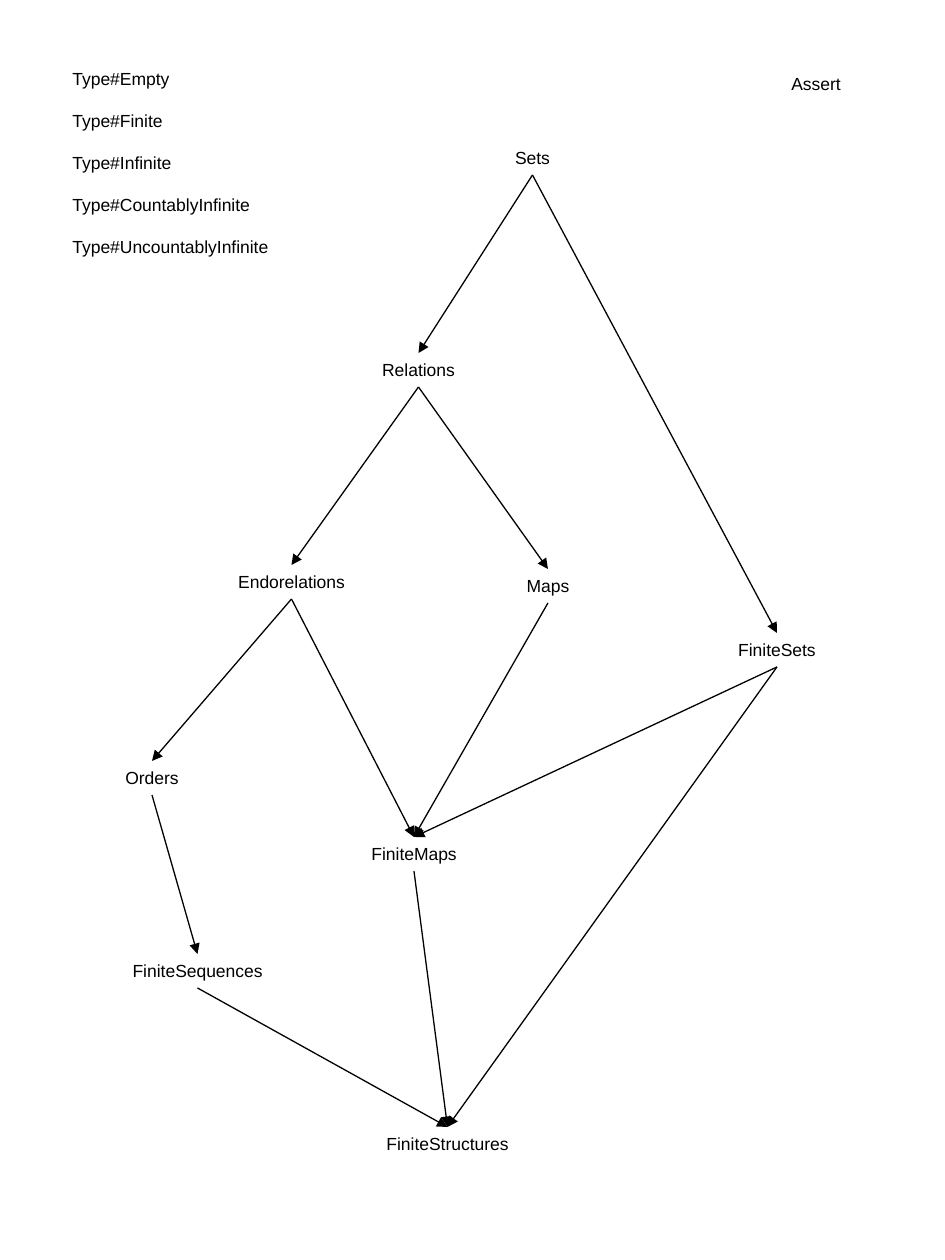
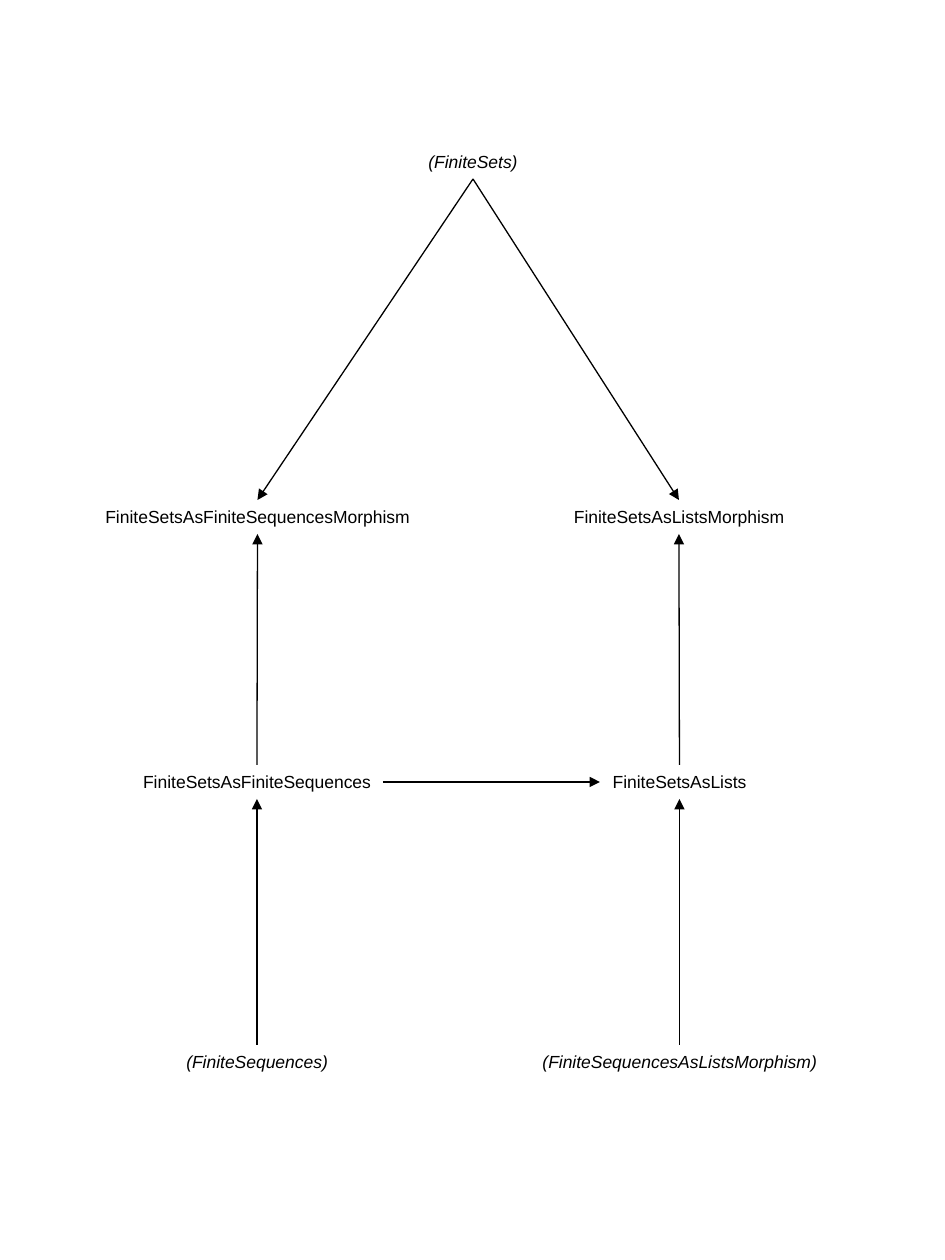
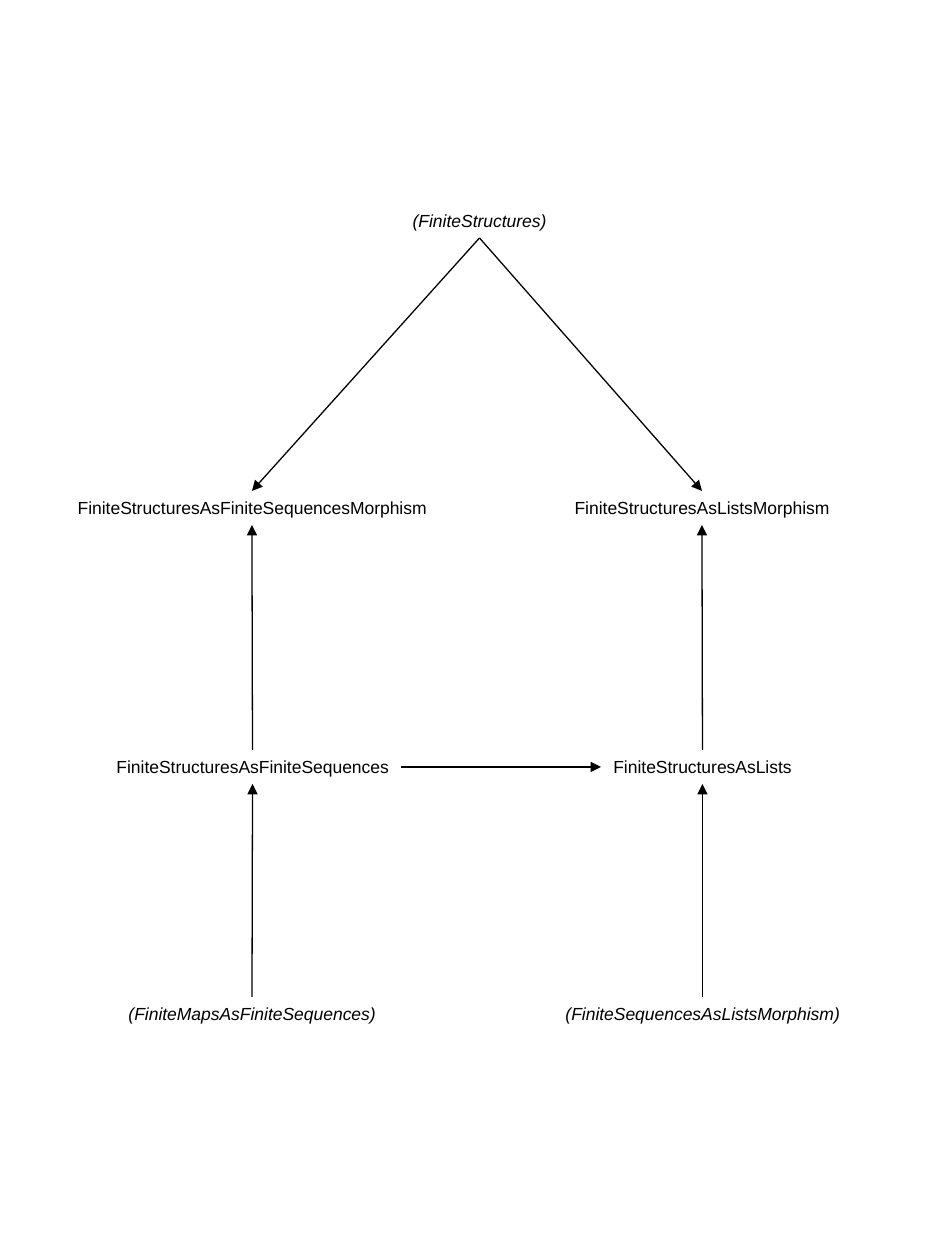
from typing import NamedTuple

from lxml import etree
from pptx import Presentation
from pptx.dml.color import RGBColor
from pptx.enum.shapes import MSO_CONNECTOR
from pptx.enum.text import MSO_ANCHOR, MSO_AUTO_SIZE, PP_ALIGN
from pptx.oxml.ns import qn
from pptx.shapes.autoshape import Shape
from pptx.slide import Slide
from pptx.util import Emu, Pt

STRAIGHT = MSO_CONNECTOR.STRAIGHT
CENTER, LEFT = PP_ALIGN.CENTER, PP_ALIGN.LEFT
TOP_ANCHOR = MSO_ANCHOR.TOP
GROW = MSO_AUTO_SIZE.SHAPE_TO_FIT_TEXT

# Shared style and scale
PX_PER_INCH = 126
PAGE_WIDTH, PAGE_HEIGHT = 945, 1260
LABEL_HEIGHT = 34
LABEL_MARGIN = 8
FONT = "Arial"
FONT_SIZE = Pt(10)
TYPE_GAP = Pt(12)
ARROW_WIDTH = Pt(0.75)
BLACK = RGBColor(0x00, 0x00, 0x00)
WHITE = RGBColor(0xFF, 0xFF, 0xFF)

# Connection sites of a rectangle
TOP, LEFT_SIDE, BOTTOM, RIGHT_SIDE = range(4)


class Concept(NamedTuple):
    text: str
    center: int
    top: int
    width: int
    italic: bool = False


class Arrow(NamedTuple):
    source: str
    target: str
    leaves: int = BOTTOM
    enters: int = TOP


class Ladder(NamedTuple):
    """An apex over two columns of three concepts, listed from top to bottom."""
    apex: Concept
    tops: tuple[int, int, int]
    left_center: int
    left: tuple[tuple[str, int], ...]
    right_center: int
    right: tuple[tuple[str, int], ...]


# Slide 1: hierarchy of types
ASSERT = Concept("Assert", 816, 67, 74)
TYPES = ["Type#Empty", "Type#Finite", "Type#Infinite",
         "Type#CountablyInfinite", "Type#UncountablyInfinite"]
HIERARCHY = [
    Concept("Sets", 532, 141, 59),
    Concept("Relations", 418, 353, 97),
    Concept("Endorelations", 291, 565, 131),
    Concept("Maps", 548, 569, 68),
    Concept("FiniteSets", 777, 633, 102),
    Concept("Orders", 152, 761, 78),
    Concept("FiniteMaps", 414, 837, 110),
    Concept("FiniteSequences", 197, 954, 155),
    Concept("FiniteStructures", 447, 1127, 147),
]
REFINEMENTS = [
    Arrow("Sets", "Relations"),
    Arrow("Sets", "FiniteSets"),
    Arrow("Relations", "Endorelations"),
    Arrow("Relations", "Maps"),
    Arrow("Endorelations", "Orders"),
    Arrow("Endorelations", "FiniteMaps"),
    Arrow("Maps", "FiniteMaps"),
    Arrow("FiniteSets", "FiniteMaps"),
    Arrow("FiniteSets", "FiniteStructures"),
    Arrow("Orders", "FiniteSequences"),
    Arrow("FiniteSequences", "FiniteStructures"),
    Arrow("FiniteMaps", "FiniteStructures"),
]

# Slides 2 and 3: morphism ladders
LADDERS = [
    Ladder(
        Concept("(FiniteSets)", 473, 145, 114, italic=True),
        (500, 765, 1045),
        257, (("FiniteSetsAsFiniteSequencesMorphism", 329),
              ("FiniteSetsAsFiniteSequences", 252),
              ("(FiniteSequences)", 166)),
        679, (("FiniteSetsAsListsMorphism", 236),
              ("FiniteSetsAsLists", 159),
              ("(FiniteSequencesAsListsMorphism)", 299)),
    ),
    Ladder(
        Concept("(FiniteStructures)", 479, 204, 159, italic=True),
        (491, 750, 997),
        252, (("FiniteStructuresAsFiniteSequencesMorphism", 374),
              ("FiniteStructuresAsFiniteSequences", 297),
              ("(FiniteMapsAsFiniteSequences)", 272)),
        702, (("FiniteStructuresAsListsMorphism", 280),
              ("FiniteStructuresAsLists", 203),
              ("(FiniteSequencesAsListsMorphism)", 299)),
    ),
]


def px(length: int) -> Emu:
    return Emu(round(length * 914400 / PX_PER_INCH))


def add_text(slide: Slide, lines: list[str], left: int, top: int, width: int,
             height: int, align: PP_ALIGN, italic: bool = False) -> Shape:
    box = slide.shapes.add_textbox(px(left), px(top), px(width), px(height))
    frame = box.text_frame
    frame.word_wrap = False
    frame.auto_size = GROW
    frame.vertical_anchor = TOP_ANCHOR
    for index, line in enumerate(lines):
        paragraph = frame.add_paragraph() if index else frame.paragraphs[0]
        paragraph.alignment = align
        if index:
            paragraph.space_before = TYPE_GAP
        run = paragraph.add_run()
        run.text = line
        run.font.name = FONT
        run.font.size = FONT_SIZE
        run.font.italic = italic
        run.font.color.rgb = BLACK
    return box


def add_concept(slide: Slide, concept: Concept) -> Shape:
    label = add_text(slide, [concept.text], concept.center - concept.width // 2,
                     concept.top, concept.width, LABEL_HEIGHT, CENTER, concept.italic)
    # Narrow side margins keep each name on one line
    label.text_frame.margin_left = label.text_frame.margin_right = px(LABEL_MARGIN)
    return label


def add_arrow(slide: Slide, arrow: Arrow, labels: dict[str, Shape]) -> None:
    line = slide.shapes.add_connector(STRAIGHT, 0, 0, 0, 0)
    line.begin_connect(labels[arrow.source], arrow.leaves)
    line.end_connect(labels[arrow.target], arrow.enters)
    line.line.color.rgb = BLACK
    line.line.width = ARROW_WIDTH
    properties = line.element.spPr
    etree.SubElement(properties.find(qn("a:ln")), qn("a:tailEnd"), type="triangle")
    etree.SubElement(properties, qn("a:effectLst"))


def add_graph(slide: Slide, concepts: list[Concept], arrows: list[Arrow]) -> None:
    labels = {concept.text: add_concept(slide, concept) for concept in concepts}
    for arrow in arrows:
        add_arrow(slide, arrow, labels)


def add_ladder(slide: Slide, ladder: Ladder) -> None:
    concepts = [ladder.apex]
    arrows = []
    for center, column in ((ladder.left_center, ladder.left),
                           (ladder.right_center, ladder.right)):
        concepts += [Concept(text, center, top, width, text.startswith("("))
                     for (text, width), top in zip(column, ladder.tops)]
        morphism, representation, base = [text for text, _ in column]
        arrows += [Arrow(ladder.apex.text, morphism),
                   Arrow(representation, morphism, TOP, BOTTOM),
                   Arrow(base, representation, TOP, BOTTOM)]
    arrows.append(Arrow(ladder.left[1][0], ladder.right[1][0], RIGHT_SIDE, LEFT_SIDE))
    add_graph(slide, concepts, arrows)


def add_page(deck: Presentation) -> Slide:
    slide = deck.slides.add_slide(deck.slide_layouts[6])
    slide.background.fill.solid()
    slide.background.fill.fore_color.rgb = WHITE
    return slide


def main() -> None:
    deck = Presentation()
    deck.slide_width, deck.slide_height = px(PAGE_WIDTH), px(PAGE_HEIGHT)

    hierarchy = add_page(deck)
    add_concept(hierarchy, ASSERT)
    add_text(hierarchy, TYPES, 60, 62, 222, 203, LEFT)
    add_graph(hierarchy, HIERARCHY, REFINEMENTS)

    for ladder in LADDERS:
        add_ladder(add_page(deck), ladder)

    deck.save("out.pptx")


if __name__ == "__main__":
    main()
